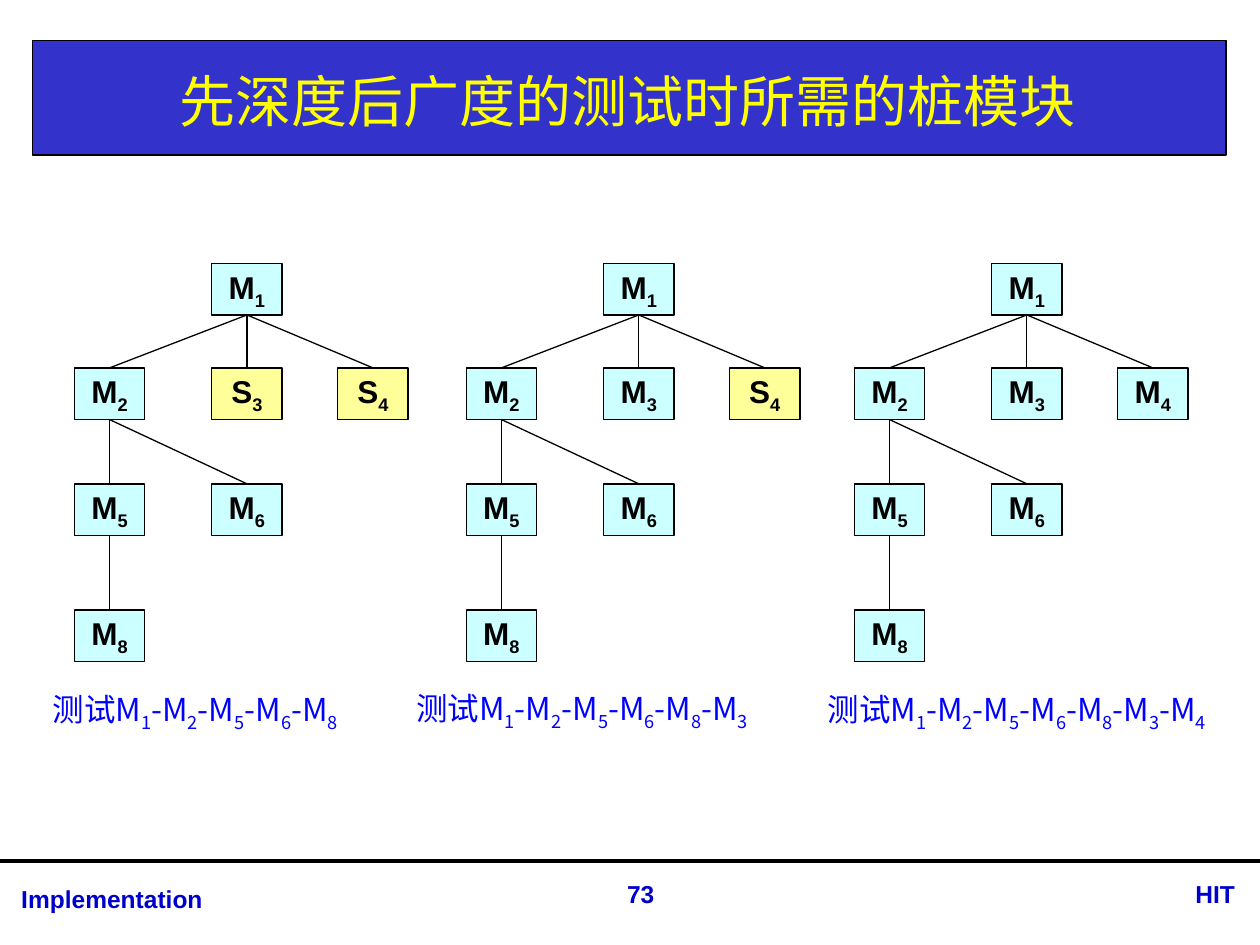
"""Build a slide of three test trees that shows which stub modules are needed."""
import dataclasses
import itertools

import pptx
import pptx.dml.color
import pptx.enum.shapes
import pptx.enum.text
import pptx.oxml
import pptx.oxml.ns
import pptx.util

ALIGN = pptx.enum.text.PP_ALIGN
ANCHOR = pptx.enum.text.MSO_ANCHOR


@dataclasses.dataclass(frozen=True)
class Theme:
    """Colours, fonts and type sizes in one place."""
    bar: str = "3333CC"
    title: str = "FFFF00"
    foot: str = "0000CC"
    note: str = "0000FF"
    ink: str = "000000"
    module: str = "CCFFFF"
    stub: str = "FFFF99"
    latin: str = "Arial"
    asian: str = "Noto Sans CJK SC"
    big: int = 32
    mid: int = 18
    small: int = 14
    thin: float = 0.75
    thick: float = 2.25


THEME = Theme()
COLS, ROWS = 100, 75
NODE = (5.6, 4.1)
ACROSS = (0, 10.9, 20.9)
DOWN = (20.9, 29.2, 38.4, 48.4)
PLACES = {"1": (1, 0), "2": (0, 1), "3": (1, 1), "4": (2, 1),
          "5": (0, 2), "6": (1, 2), "8": (0, 3)}
EDGES = ("12", "13", "14", "25", "26", "58")
TREES = (
    (5.9, "34", "测试M1-M2-M5-M6-M8", (1.5, 54.3, 28, 4)),
    (37, "4", "测试M1-M2-M5-M6-M8-M3", (30, 54.2, 32.4, 4)),
    (67.8, "", "测试M1-M2-M5-M6-M8-M3-M4", (62.8, 54.3, 35.8, 4)),
)
FOOTERS = (
    ("Implementation", (0.7, 69.7, 38.5, 3.4), ALIGN.LEFT),
    ("73", (45.7, 69.3, 10.3, 3.4), ALIGN.CENTER),
    ("HIT", (88.7, 69.3, 10.3, 3.4), ALIGN.RIGHT),
)


def cells(*counts):
    """Turn counts of grid cells into lengths."""
    return [pptx.util.Inches(count / 10) for count in counts]


def tint(code):
    """Turn a hex code into a colour."""
    return pptx.dml.color.RGBColor.from_string(code)


def write(shape, text, *, size, color, font=THEME.latin, bold=False,
          align=ALIGN.CENTER, anchor=ANCHOR.TOP, lower=False, wrap=True):
    """Write one paragraph, with its digits as subscripts if lower is set."""
    frame = shape.text_frame
    frame.word_wrap = wrap
    frame.vertical_anchor = anchor
    line = frame.paragraphs[0]
    line.alignment = align
    for digit, part in itertools.groupby(text, lambda sign: lower and sign.isdigit()):
        run = line.add_run()
        run.text = "".join(part)
        run.font.name = font
        run.font.size = pptx.util.Pt(size)
        run.font.bold = bold
        run.font.color.rgb = tint(color)
        props = run.font._element
        face = pptx.oxml.parse_xml(
            f'<a:ea {pptx.oxml.ns.nsdecls("a")} typeface="{font}"/>')
        props.find(pptx.oxml.ns.qn("a:latin")).addnext(face)
        if digit:
            props.set("baseline", "-25000")


def label(shapes, text, place, **style):
    """Add a text box."""
    write(shapes.add_textbox(*cells(*place)), text, **style)


def block(shapes, place, fill):
    """Add a filled rectangle with a thin border."""
    shape = shapes.add_shape(pptx.enum.shapes.MSO_SHAPE.RECTANGLE, *cells(*place))
    shape.shadow.inherit = False
    shape.fill.solid()
    shape.fill.fore_color.rgb = tint(fill)
    shape.line.color.rgb = tint(THEME.ink)
    shape.line.width = pptx.util.Pt(THEME.thin)
    return shape


def rule(shapes, ends, width):
    """Add a straight line without a shadow."""
    line = shapes.add_connector(pptx.enum.shapes.MSO_CONNECTOR.STRAIGHT, *cells(*ends))
    line.line.color.rgb = tint(THEME.ink)
    line.line.width = pptx.util.Pt(width)
    line._element.spPr.append(
        pptx.oxml.parse_xml(f'<a:effectLst {pptx.oxml.ns.nsdecls("a")}/>'))
    return line


def tree(shapes, left, stubs):
    """Add one grouped module tree."""
    group = shapes.add_group_shape().shapes
    nodes = {}
    for key, (col, row) in PLACES.items():
        stub = key in stubs
        place = (left + ACROSS[col], DOWN[row], *NODE)
        nodes[key] = block(group, place, THEME.stub if stub else THEME.module)
        write(nodes[key], ("S" if stub else "M") + key, size=THEME.mid,
              color=THEME.ink, bold=True, anchor=ANCHOR.MIDDLE, lower=True, wrap=False)
    for head, child in EDGES:
        line = rule(group, (0, 0, 0, 0), THEME.thin)
        line.begin_connect(nodes[head], 2)
        line.end_connect(nodes[child], 0)


def main():
    """Build and save the slide."""
    deck = pptx.Presentation()
    deck.slide_width, deck.slide_height = cells(COLS, ROWS)
    shapes = deck.slides.add_slide(deck.slide_layouts[6]).shapes
    block(shapes, (2.6, 3.2, 94.7, 9.1), THEME.bar)
    rule(shapes, (0, 68.3, COLS, 68.3), THEME.thick)
    for text, place, align in FOOTERS:
        label(shapes, text, place, size=THEME.small, color=THEME.foot,
              bold=True, align=align)
    label(shapes, "先深度后广度的测试时所需的桩模块", (2.6, 3.6, 94.5, 8.7),
          size=THEME.big, color=THEME.title, font=THEME.asian, anchor=ANCHOR.MIDDLE)
    for left, stubs, text, place in TREES:
        tree(shapes, left, stubs)
        label(shapes, text, place, size=THEME.mid, color=THEME.note,
              font=THEME.asian, lower=True)
    deck.save("out.pptx")


if __name__ == "__main__":
    main()
